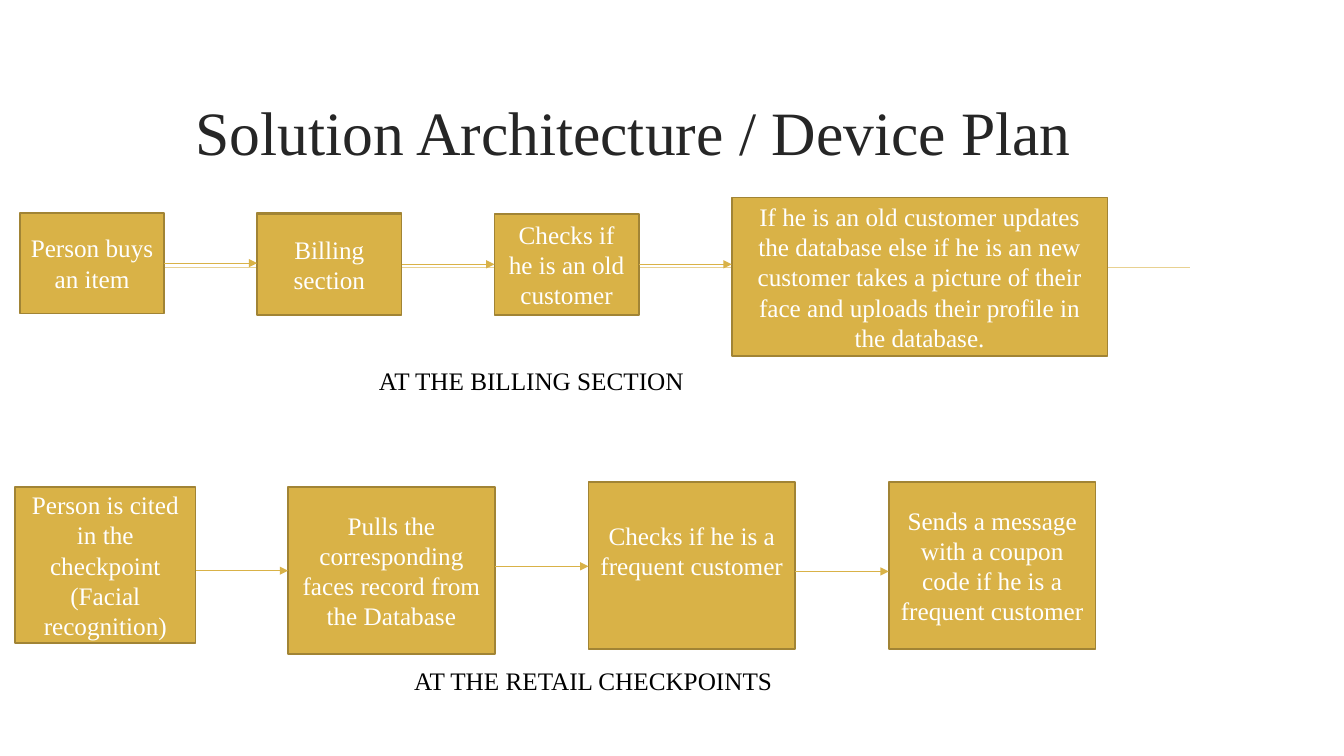
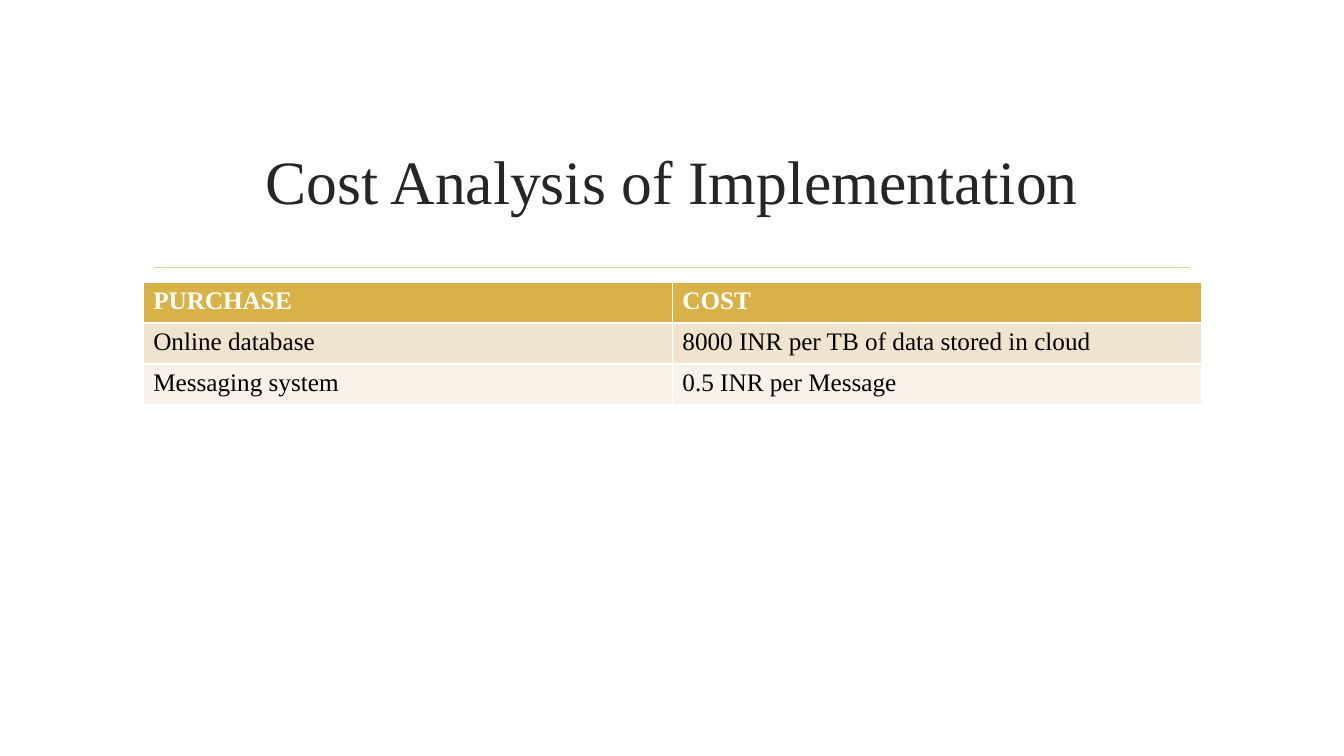
from lxml import etree
from pptx import Presentation
from pptx.dml.color import RGBColor
from pptx.enum.shapes import MSO_CONNECTOR as Conn, MSO_SHAPE as Kind
from pptx.enum.text import MSO_ANCHOR as Anchor, PP_ALIGN as Align
from pptx.oxml.ns import qn
from pptx.util import Cm, Pt

FONT = "Times New Roman"
GOLD, EDGE, RULE = "D9B247", "A18435", "E8D191"
WHITE, BLACK, DARK = "FFFFFF", "000000", "262626"
BANDS = ["F1E4CF", "F8F2E9"]


def tint(code):
    return RGBColor.from_string(code)


class Deck:
    def __init__(self):
        self.prs = Presentation()
        self.prs.slide_width, self.prs.slide_height = Cm(33.87), Cm(19.05)
        self.slide = None

    def page(self, title, x, y):
        self.slide = self.prs.slides.add_slide(self.prs.slide_layouts[5])
        self.line(3.89, 30, 6.74, RULE, 1.25)
        head = self.slide.shapes.title
        head.left, head.top = Cm(x), Cm(y)
        head.width, head.height = Cm(26.67), Cm(3.63)
        frame = head.text_frame
        frame.word_wrap = True
        frame.vertical_anchor = Anchor.MIDDLE
        self.text(frame, title, DARK, 44, Align.CENTER)

    def text(self, frame, words, color, size=18, align=Align.LEFT, bold=False):
        para = frame.paragraphs[0]
        para.alignment = align
        run = para.add_run()
        run.text = words
        font = run.font
        font.name, font.size, font.bold = FONT, Pt(size), bold
        font.color.rgb = tint(color)

    def line(self, start, end, y, color=GOLD, width=0.75, arrow=False):
        line = self.slide.shapes.add_connector(
            Conn.STRAIGHT, Cm(start), Cm(y), Cm(end), Cm(y))
        line.line.color.rgb = tint(color)
        line.line.width = Pt(width)
        props = line._element.spPr
        if arrow:
            tip = etree.SubElement(props.find(qn("a:ln")), qn("a:tailEnd"))
            tip.set("type", "triangle")
        etree.SubElement(props, qn("a:effectLst"))

    def box(self, x, y, w, h, words="", lift=0):
        box = self.slide.shapes.add_shape(
            Kind.RECTANGLE, Cm(x), Cm(y), Cm(w), Cm(h))
        box.shadow.inherit = False
        box.fill.solid()
        box.fill.fore_color.rgb = tint(GOLD)
        box.line.color.rgb = tint(EDGE)
        box.line.width = Pt(1.25)
        if words:
            frame = box.text_frame
            frame.word_wrap = True
            frame.vertical_anchor = Anchor.MIDDLE
            frame.margin_bottom = Cm(0.13 + lift)
            self.text(frame, words, WHITE, align=Align.CENTER)

    def flow(self, steps, levels):
        for step in steps:
            self.box(*step)
        for left, right, y in zip(steps, steps[1:], levels):
            self.line(left[0] + left[2], right[0], y, arrow=True)

    def label(self, x, y, w, words):
        box = self.slide.shapes.add_textbox(Cm(x), Cm(y), Cm(w), Cm(1.02))
        box.text_frame.word_wrap = True
        self.text(box.text_frame, words, BLACK)

    def table(self, x, y, w, high, rows):
        grid = self.slide.shapes.add_table(
            len(rows), len(rows[0]),
            Cm(x), Cm(y), Cm(w), Cm(high * len(rows))).table
        for i, row in enumerate(rows):
            top = i == 0
            for j, words in enumerate(row):
                cell = grid.cell(i, j)
                cell.fill.solid()
                cell.fill.fore_color.rgb = tint(GOLD if top else BANDS[(i - 1) % 2])
                self.text(cell.text_frame, words, WHITE if top else BLACK, bold=top)


def main():
    deck = Deck()

    deck.page("Solution Architecture / Device Plan", 2.64, 1.47)
    xs = [0.5 + 5.98 * i for i in range(4)]
    deck.box(xs[1], 5.36, 3.64, 2.54)
    deck.flow([
        (xs[0], 5.36, 3.64, 2.54, "Person buys an item"),
        (xs[1], 5.4, 3.64, 2.54, "Billing section"),
        (xs[2], 5.4, 3.64, 2.54, "Checks if he is an old customer"),
        (xs[3], 4.98, 9.47, 3.99,
         "If he is an old customer updates the database else if he is an new "
         "customer takes a picture of their face and uploads their profile in "
         "the database."),
    ], [6.63, 6.66, 6.66])
    deck.label(9.3, 9.07, 8.69, "AT THE BILLING SECTION")

    xs = [7.26 + 7.57 * i for i in range(3)]
    deck.flow([
        (0.38, 12.27, 4.55, 3.94,
         "Person is cited in the checkpoint (Facial recognition)"),
        (xs[0], 12.27, 5.21, 4.22,
         "Pulls the corresponding faces record from the Database"),
        (xs[1], 12.14, 5.21, 4.22, "Checks if he is a frequent customer", 0.76),
        (xs[2], 12.14, 5.21, 4.22,
         "Sends a message with a coupon code if he is a frequent customer"),
    ], [14.38, 14.27, 14.4])
    deck.label(10.19, 16.64, 9.83, "AT THE RETAIL CHECKPOINTS")

    deck.page("Cost Analysis of Implementation", 3.61, 2.72)
    deck.table(3.61, 7.11, 26.67, 1.03, [
        ("PURCHASE", "COST"),
        ("Online database", "8000 INR per TB of data stored in cloud"),
        ("Messaging system", "0.5 INR per Message"),
    ])

    deck.prs.save("out.pptx")


if __name__ == "__main__":
    main()
